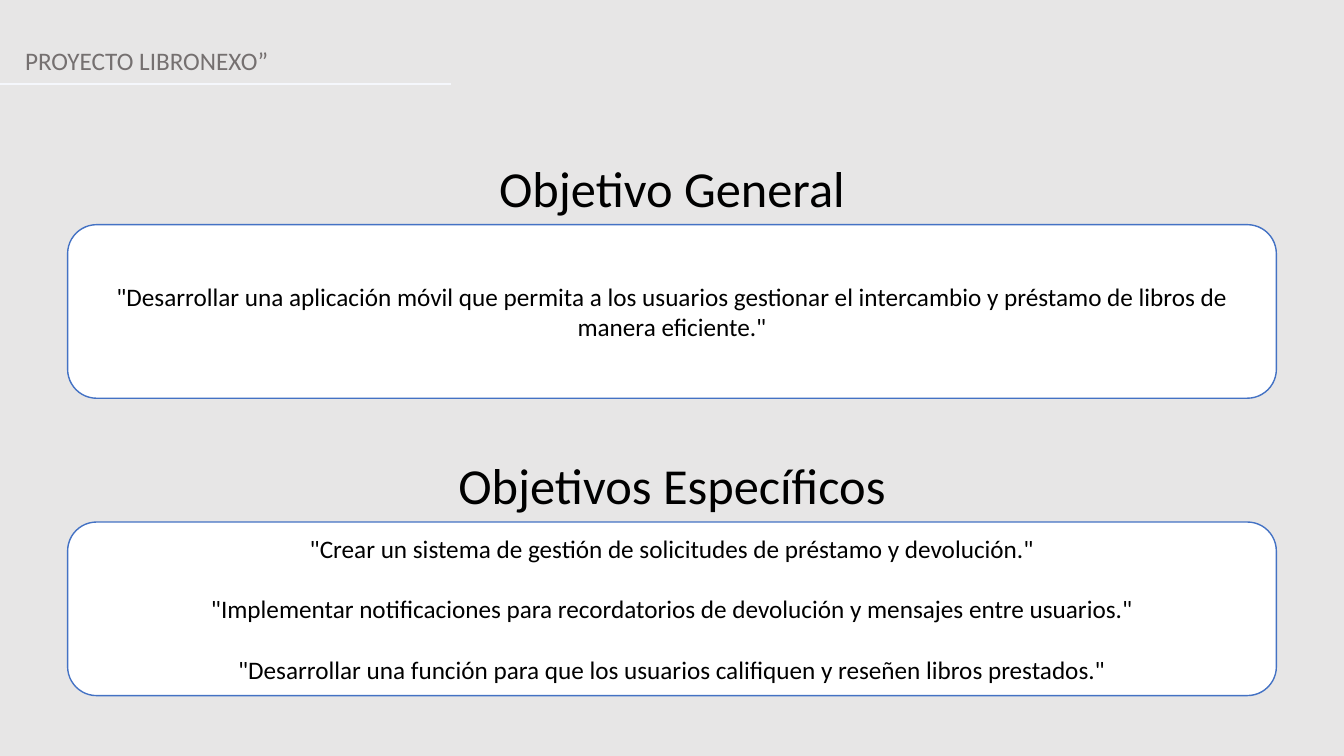
from lxml import etree
from pptx import Presentation
from pptx.dml.color import RGBColor
from pptx.enum import shapes, text
from pptx.oxml import ns
from pptx.util import Pt

BACKGROUND = RGBColor(0xE7, 0xE6, 0xE6)
HEADER_GRAY = RGBColor(0x75, 0x70, 0x70)
RULE_COLOR = RGBColor(0xF5, 0xF7, 0xFC)
PANEL_BLUE = RGBColor(0x44, 0x72, 0xC4)
WHITE = RGBColor(0xFF, 0xFF, 0xFF)
BLACK = RGBColor(0, 0, 0)

SLIDE_WIDTH, SLIDE_HEIGHT = 960, 540
PANEL_MARGIN = 48.3
HEADING_HEIGHT = 51.8

OBJECTIVES = [
    (108.7, "Objetivo General", [
        '"Desarrollar una aplicación móvil que permita a los usuarios gestionar '
        'el intercambio y préstamo de libros de manera eficiente."',
    ]),
    (321.1, "Objetivos Específicos", [
        '"Crear un sistema de gestión de solicitudes de préstamo y devolución."',
        '"Implementar notificaciones para recordatorios de devolución y mensajes entre usuarios."',
        '"Desarrollar una función para que los usuarios califiquen y reseñen libros prestados."',
    ]),
]


def write_paragraphs(shape, lines, size, color, alignment, gap=0):
    """Fill a shape with wrapped paragraphs separated by a gap."""
    frame = shape.text_frame
    frame.word_wrap = True
    for index, line in enumerate(lines):
        paragraph = frame.add_paragraph() if index else frame.paragraphs[0]
        paragraph.text = line
        paragraph.alignment = alignment
        paragraph.space_before = Pt(gap if index else 0)
        paragraph.font.name = "Calibri"
        paragraph.font.size = Pt(size)
        paragraph.font.color.rgb = color


def add_header(slide, left, top, width, height):
    """Place the project name and the rule beneath it."""
    label = slide.shapes.add_textbox(Pt(left), Pt(top), Pt(width), Pt(height))
    write_paragraphs(label, ["PROYECTO LIBRONEXO”"], 18, HEADER_GRAY, text.PP_ALIGN.LEFT)
    rule_top = Pt(top + height + 2)
    rule = slide.shapes.add_connector(
        shapes.MSO_CONNECTOR.STRAIGHT, Pt(0), rule_top, Pt(322), rule_top)
    rule.line.color.rgb = RULE_COLOR
    rule.line.width = Pt(1.25)
    etree.SubElement(rule._element.spPr, ns.qn("a:effectLst"))


def add_objective(slide, left, top, width, height, heading, statements):
    """Place a centred heading above a rounded panel of statements."""
    title = slide.shapes.add_textbox(Pt(left), Pt(top), Pt(width), Pt(HEADING_HEIGHT))
    write_paragraphs(title, [heading], 36, BLACK, text.PP_ALIGN.CENTER)
    panel = slide.shapes.add_shape(
        shapes.MSO_SHAPE.ROUNDED_RECTANGLE,
        Pt(left + PANEL_MARGIN), Pt(top + HEADING_HEIGHT),
        Pt(width - 2 * PANEL_MARGIN), Pt(height - HEADING_HEIGHT))
    panel.shadow.inherit = False
    panel.fill.solid()
    panel.fill.fore_color.rgb = WHITE
    panel.line.color.rgb = PANEL_BLUE
    panel.line.width = Pt(1)
    panel.text_frame.vertical_anchor = text.MSO_ANCHOR.MIDDLE
    write_paragraphs(panel, statements, 18, BLACK, text.PP_ALIGN.CENTER, gap=21.6)


def main():
    """Build and save the objectives slide."""
    presentation = Presentation()
    presentation.slide_width = Pt(SLIDE_WIDTH)
    presentation.slide_height = Pt(SLIDE_HEIGHT)
    slide = presentation.slides.add_slide(presentation.slide_layouts[6])
    slide.background.fill.solid()
    slide.background.fill.fore_color.rgb = BACKGROUND
    add_header(slide, 10.8, 28.8, SLIDE_WIDTH - 10.8, 29)
    for top, heading, statements in OBJECTIVES:
        add_objective(slide, 0, top, SLIDE_WIDTH, 175.8, heading, statements)
    presentation.save("out.pptx")


if __name__ == "__main__":
    main()
